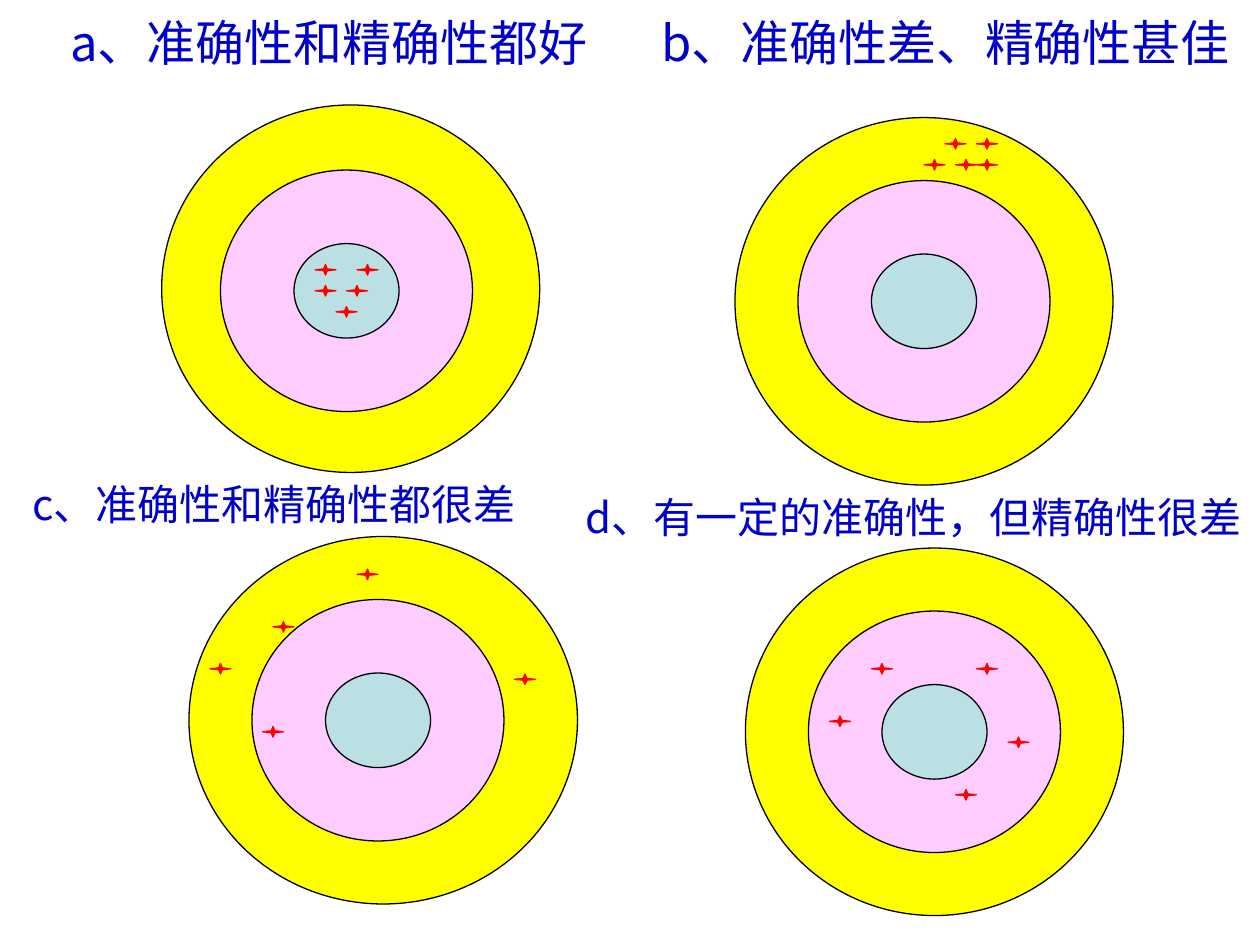
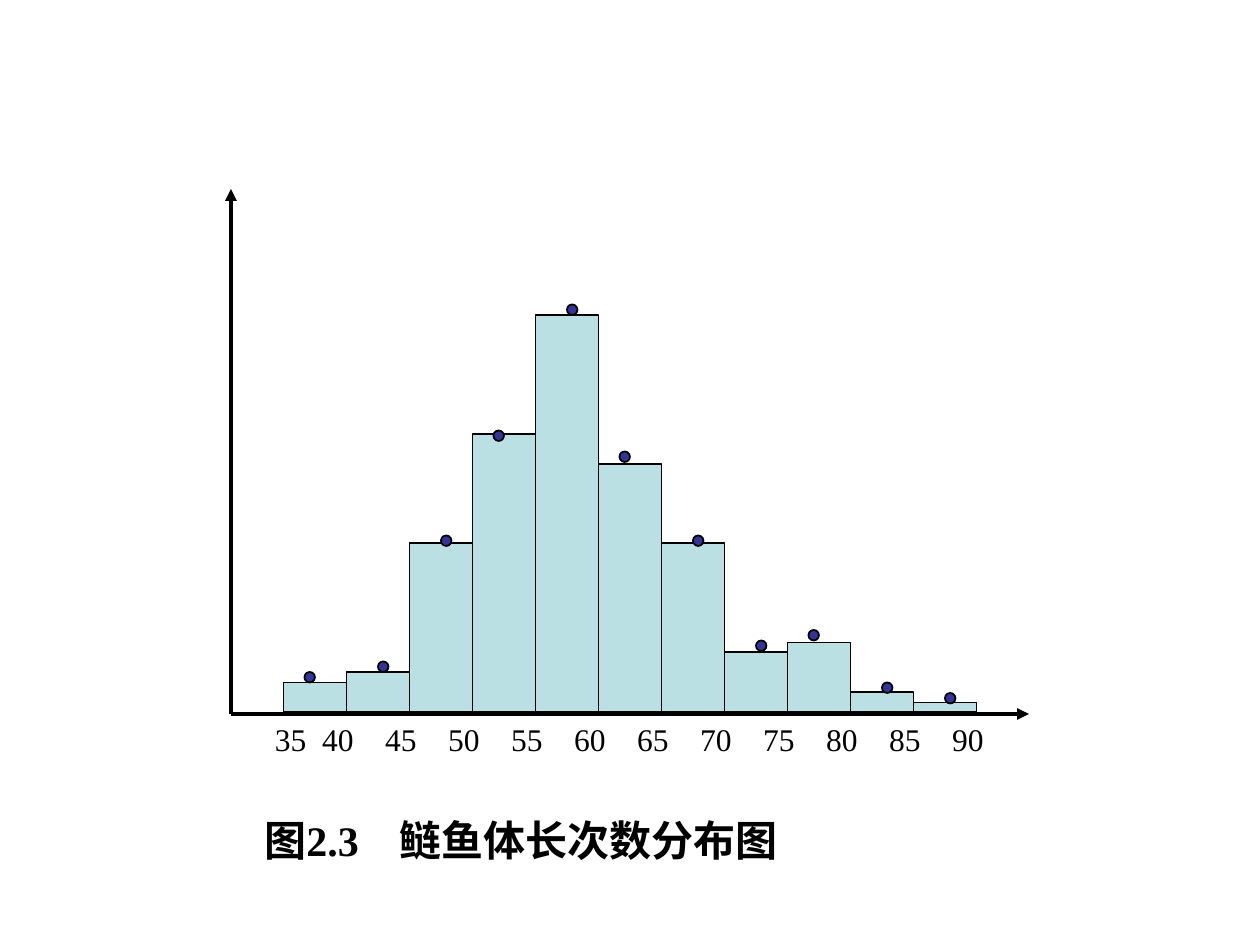
"""Build two slides: accuracy targets and a histogram of fish lengths."""
from dataclasses import dataclass
from typing import Any

import pptx
import pptx.dml.color
import pptx.enum.shapes
import pptx.enum.text
import pptx.oxml.ns
import pptx.slide
import pptx.util
from lxml import etree

PX = 7620
BLACK = pptx.dml.color.RGBColor(0x00, 0x00, 0x00)
BLUE = pptx.dml.color.RGBColor(0x00, 0x00, 0xCC)
INDIGO = pptx.dml.color.RGBColor(0x33, 0x33, 0x99)
YELLOW = pptx.dml.color.RGBColor(0xFF, 0xFF, 0x00)
PINK = pptx.dml.color.RGBColor(0xFF, 0xCC, 0xFF)
TEAL = pptx.dml.color.RGBColor(0xBB, 0xE0, 0xE3)
RED = pptx.dml.color.RGBColor(0xFF, 0x00, 0x00)
SANS = "Noto Sans CJK JP"
SERIF = "Times New Roman"
SHAPES = pptx.enum.shapes.MSO_SHAPE


@dataclass(frozen=True)
class Frame:
    left: int
    top: int
    width: int
    height: int

    def emu(self) -> list[int]:
        return [value * PX for value in (self.left, self.top, self.width, self.height)]


@dataclass(frozen=True)
class Look:
    kind: Any
    fill: pptx.dml.color.RGBColor
    line: pptx.dml.color.RGBColor = BLACK
    weight: float = 0.75


@dataclass(frozen=True)
class Label:
    text: str
    frame: Frame
    size: int
    font: str = SANS
    color: pptx.dml.color.RGBColor = BLUE
    bold: bool = False
    wrap: bool = False
    tabs: tuple[int, ...] = ()


@dataclass(frozen=True)
class Target:
    label: Label
    outer: Frame
    middle: tuple[int, int]
    hits: tuple[tuple[int, int], ...]


OUTER = Look(SHAPES.OVAL, YELLOW)
MIDDLE = Look(SHAPES.OVAL, PINK)
CORE = Look(SHAPES.OVAL, TEAL)
HIT = Look(SHAPES.STAR_4_POINT, RED, RED)
BAR = Look(SHAPES.RECTANGLE, TEAL, weight=1)
DOT = Look(SHAPES.OVAL, INDIGO, weight=1)

TARGETS = (
    Target(
        Label("a、准确性和精确性都好", Frame(55, 6, 527, 68), 28),
        Frame(154, 100, 360, 350), (210, 162),
        ((300, 252), (340, 252), (300, 272), (330, 272), (320, 292)),
    ),
    Target(
        Label("b、准确性差、精确性甚佳", Frame(618, 6, 576, 68), 28),
        Frame(700, 112, 360, 350), (760, 172),
        ((900, 132), (930, 132), (880, 152), (910, 152), (930, 152)),
    ),
    Target(
        Label("c、准确性和精确性都很差", Frame(19, 450, 493, 60), 24),
        Frame(180, 511, 370, 350), (240, 571),
        ((340, 542), (260, 592), (200, 632), (490, 642), (250, 692)),
    ),
    Target(
        Label("d、有一定的准确性，但精确性很差", Frame(546, 462, 668, 60), 24, wrap=True),
        Frame(710, 522, 360, 350), (770, 582),
        ((830, 632), (930, 632), (790, 682), (960, 702), (910, 752)),
    ),
)

FREQUENCIES = (3, 4, 17, 28, 40, 25, 17, 6, 7, 2, 1)
UNIT_HEIGHT = 9.45
BAR_WIDTH = 60
BARS_LEFT = 270
BARS_BOTTOM = 678
DOTS = (
    (290, 640), (360, 630), (420, 510), (470, 410), (540, 290), (590, 430),
    (660, 510), (720, 610), (770, 600), (840, 650), (900, 660),
)
ORIGIN = (220, 680)
AXIS_ENDS = ((980, 680), (220, 180))
LENGTHS = range(35, 95, 5)
SCALE = Label(
    "\t".join(map(str, LENGTHS)), Frame(250, 680, 720, 48), 18, SERIF, BLACK, wrap=True,
    tabs=tuple(45 + BAR_WIDTH * index for index in range(len(LENGTHS) - 1)),
)
CAPTION = Label(
    "图2.3\t鲢鱼体长次数分布图", Frame(240, 770, 790, 60), 24, SERIF, BLACK,
    bold=True, wrap=True, tabs=(129,),
)


def apply(item: Any, values: dict[str, Any]) -> None:
    for name, value in values.items():
        setattr(item, name, value)


def add_child(parent: Any, tag: str, **attributes: str) -> Any:
    return etree.SubElement(parent, pptx.oxml.ns.qn(tag), attributes)


def draw_shape(page: pptx.slide.Slide, look: Look, frame: Frame) -> None:
    shape = page.shapes.add_shape(look.kind, *frame.emu())
    shape.shadow.inherit = False
    shape.fill.solid()
    shape.fill.fore_color.rgb = look.fill
    shape.line.color.rgb = look.line
    shape.line.width = pptx.util.Pt(look.weight)


def draw_label(page: pptx.slide.Slide, label: Label) -> None:
    box = page.shapes.add_textbox(*label.frame.emu())
    apply(box.text_frame, {
        "word_wrap": label.wrap,
        "auto_size": pptx.enum.text.MSO_AUTO_SIZE.SHAPE_TO_FIT_TEXT,
    })
    para = box.text_frame.paragraphs[0]
    if label.tabs:
        stops = add_child(para._p.get_or_add_pPr(), "a:tabLst")
        for stop in label.tabs:
            add_child(stops, "a:tab", pos=str(stop * PX), algn="l")
    span = para.add_run()
    span.text = label.text
    apply(span.font, {
        "name": label.font, "size": pptx.util.Pt(label.size), "bold": label.bold,
    })
    span.font.color.rgb = label.color
    add_child(span._r.get_or_add_rPr(), "a:ea", typeface=SANS)


def draw_axis(page: pptx.slide.Slide, end: tuple[int, int]) -> None:
    axis = page.shapes.add_connector(
        pptx.enum.shapes.MSO_CONNECTOR.STRAIGHT, *(value * PX for value in ORIGIN + end)
    )
    axis.line.color.rgb = BLACK
    axis.line.width = pptx.util.Pt(2.25)
    add_child(axis.line._get_or_add_ln(), "a:tailEnd", type="triangle")
    add_child(axis._element.spPr, "a:effectLst")


def draw_target(page: pptx.slide.Slide, target: Target) -> None:
    left, top = target.middle
    draw_shape(page, OUTER, target.outer)
    draw_shape(page, MIDDLE, Frame(left, top, 240, 230))
    draw_shape(page, CORE, Frame(left + 70, top + 70, 100, 90))
    for hit in target.hits:
        draw_shape(page, HIT, Frame(*hit, 20, 10))
    draw_label(page, target.label)


def draw_histogram(page: pptx.slide.Slide) -> None:
    draw_label(page, CAPTION)
    for index, frequency in enumerate(FREQUENCIES):
        height = round(frequency * UNIT_HEIGHT)
        left = BARS_LEFT + BAR_WIDTH * index
        draw_shape(page, BAR, Frame(left, BARS_BOTTOM - height, BAR_WIDTH, height))
    for end in AXIS_ENDS:
        draw_axis(page, end)
    draw_label(page, SCALE)
    for dot in DOTS:
        draw_shape(page, DOT, Frame(*dot, 10, 10))


def main() -> None:
    deck = pptx.Presentation()
    apply(deck, {"slide_width": 1200 * PX, "slide_height": 900 * PX})
    blank = deck.slide_layouts[6]
    targets_page = deck.slides.add_slide(blank)
    for target in TARGETS:
        draw_target(targets_page, target)
    draw_histogram(deck.slides.add_slide(blank))
    deck.save("out.pptx")


if __name__ == "__main__":
    main()
